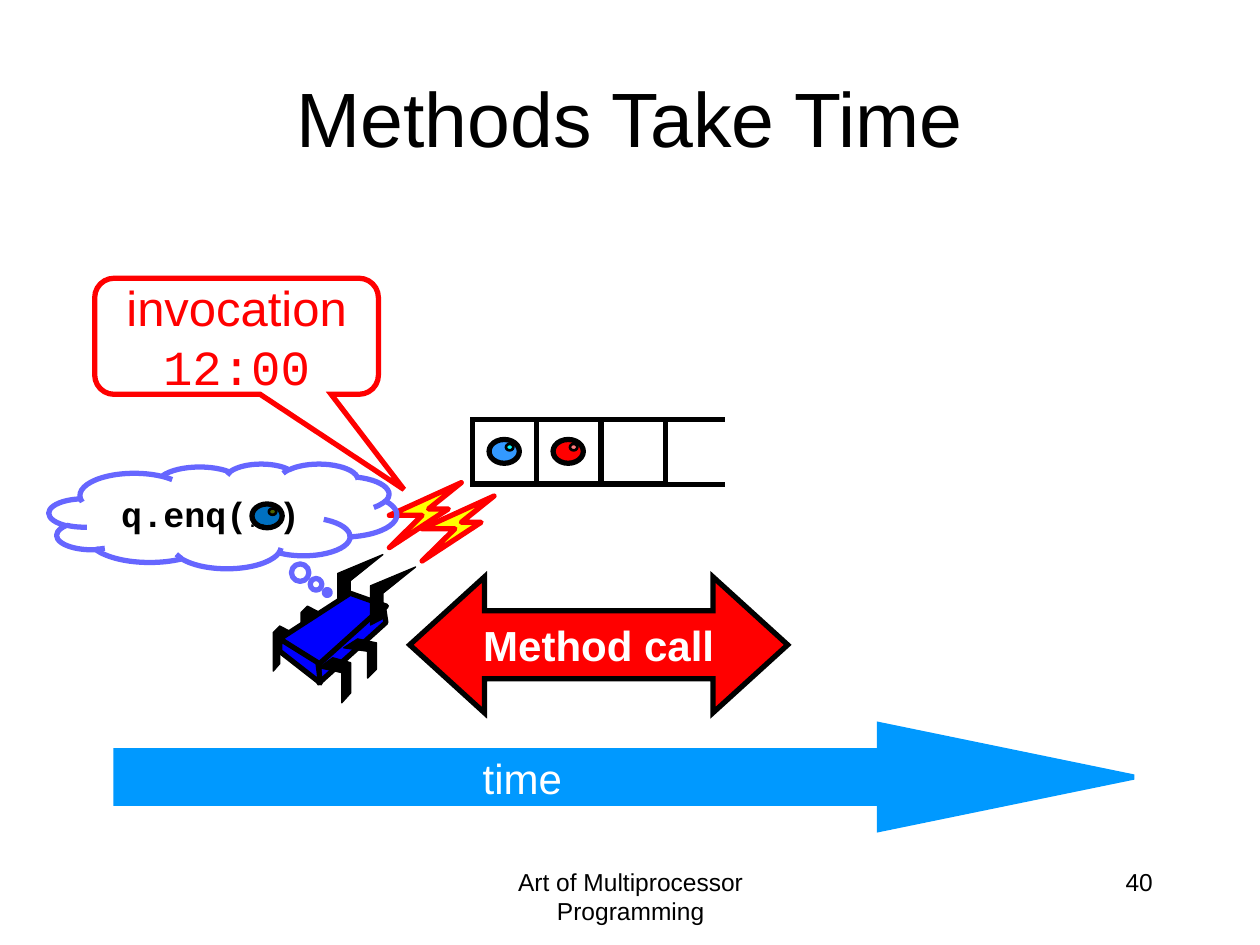
from lxml.etree import SubElement
from pptx import Presentation
from pptx.dml.color import RGBColor
from pptx.enum.shapes import MSO_CONNECTOR, MSO_SHAPE
from pptx.enum.text import MSO_ANCHOR, PP_ALIGN
from pptx.oxml.ns import qn
from pptx.util import Cm, Pt

BLACK = RGBColor(0x00, 0x00, 0x00)
WHITE = RGBColor(0xFF, 0xFF, 0xFF)
RED = RGBColor(0xFF, 0x00, 0x00)
YELLOW = RGBColor(0xFF, 0xFF, 0x00)
BLUE = RGBColor(0x00, 0x00, 0xFF)
TIME_BLUE = RGBColor(0x00, 0x99, 0xFF)
THOUGHT_BLUE = RGBColor(0x66, 0x66, 0xFF)
ITEM_BLUE = RGBColor(0x33, 0x99, 0xFF)
NEW_ITEM_BLUE = RGBColor(0x00, 0x70, 0xC0)
CYAN = RGBColor(0x00, 0xFF, 0xFF)
PINK = RGBColor(0xFF, 0x7C, 0x80)
OLIVE = RGBColor(0x4C, 0x66, 0x00)


def paint(shape, fill, line, width=3, sharp=False):
    """Set fill (None for hollow) and outline, without shadow; sharp gives mitred corners."""
    shape.shadow.inherit = False
    if fill is None:
        shape.fill.background()
    else:
        shape.fill.solid()
        shape.fill.fore_color.rgb = fill
    shape.line.color.rgb = line
    shape.line.width = Pt(width)
    if sharp:
        SubElement(shape._element.spPr.find(qn("a:ln")), qn("a:miter"), lim="800000")


def write(shape, spans, color, align=PP_ALIGN.CENTER, anchor=MSO_ANCHOR.MIDDLE, wrap=True):
    """Fill the shape with one paragraph of (text, font name, size, bold) spans."""
    frame = shape.text_frame
    for name, value in {"word_wrap": wrap, "vertical_anchor": anchor}.items():
        setattr(frame, name, value)
    para = frame.paragraphs[0]
    para.alignment = align
    for text, face, size, bold in spans:
        span = para.add_run()
        span.text = text
        for name, value in {"name": face, "size": Pt(size), "bold": bold}.items():
            setattr(span.font, name, value)
        span.font.color.rgb = color


deck = Presentation()
deck.slide_width, deck.slide_height = Cm(25.4), Cm(19.05)
page = deck.slides.add_slide(deck.slide_layouts[5])
shapes = page.shapes

# Title and footer
title = shapes.title
place = {"left": Cm(1.27), "top": Cm(0.76), "width": Cm(22.86), "height": Cm(3.18)}
for name, value in place.items():
    setattr(title, name, value)
write(title, [("Methods Take Time", "Arial", 44, False)], BLACK)

for text, left, width, align in [
    ("Art of Multiprocessor Programming", 8.69, 8.05, PP_ALIGN.CENTER),
    ("40", 18.21, 5.28, PP_ALIGN.RIGHT),
]:
    box = shapes.add_textbox(Cm(left), Cm(17.35), Cm(width), Cm(1.27))
    write(box, [(text, "Arial", 14, False)], BLACK, align, MSO_ANCHOR.TOP)

# Queue: three cells and an open end
CELL, QUEUE_LEFT, QUEUE_TOP = 1.3, 9.52, 8.46
for index in range(3):
    cell = shapes.add_shape(MSO_SHAPE.RECTANGLE, Cm(QUEUE_LEFT + index * CELL),
                            Cm(QUEUE_TOP), Cm(CELL), Cm(CELL))
    paint(cell, None, BLACK, sharp=True)
for y in (QUEUE_TOP, QUEUE_TOP + CELL):
    edge = shapes.add_connector(MSO_CONNECTOR.STRAIGHT, Cm(13.31), Cm(y), Cm(14.61), Cm(y))
    edge.line.color.rgb = BLACK
    edge.line.width = Pt(3)
    SubElement(edge._element.spPr, qn("a:effectLst"))

# Method call and invocation callout
call = shapes.add_shape(MSO_SHAPE.LEFT_RIGHT_ARROW, Cm(8.26), Cm(11.63), Cm(7.62), Cm(2.74))
call.adjustments[1] = 0.55
paint(call, RED, BLACK, sharp=True)
write(call, [("Method call", "Arial", 24, True)], WHITE, wrap=False)

invocation = shapes.add_shape(MSO_SHAPE.ROUNDED_RECTANGULAR_CALLOUT,
                              Cm(1.91), Cm(5.61), Cm(5.72), Cm(2.34))
invocation.adjustments[0], invocation.adjustments[1] = 0.59, 1.32
paint(invocation, None, RED, sharp=True)
write(invocation, [("invocation ", "Arial", 28, False), ("12:00", "Courier New", 28, False)], RED)

# Thread (a bug) with two lightning bolts; outlines in cm from each part's corner
BOLT = [(0, 1.31), (0.66, 0.66), (0, 0.66), (1.45, 0), (0.79, 0.53), (1.19, 0.53)]
FEELER = [(0, 1.17), (0.25, 1.04), (0.25, 0.53), (0.91, 0), (0, 0.38)]
FAR_LEG = [(0.38, 0.13), (0.13, 0), (0, 0.13), (0, 0.91), (0.13, 0.76), (0.13, 0.25), (0.38, 0.38)]
NEAR_LEG = [(0.28, 0), (0, 0.2), (0.46, 0.3), (0.46, 0.91), (0.64, 0.71), (0.64, 0.1)]
SHORT_LEG = [(0.28, 0), (0, 0.18), (0.48, 0.25), (0.48, 0.79), (0.66, 0.61), (0.66, 0.08)]
BACK = [(1.42, 0), (0, 0.92), (0.79, 1.45), (2.15, 0.26)]
SIDE = [(1.3, 0), (0, 1.17), (0, 1.55), (1.35, 0.33)]
FRONT = [(0, 0), (0, 0.25), (0.82, 0.89), (0.77, 0.48)]
BOLT_STYLE, LIMB_STYLE, BODY_STYLE = (YELLOW, RED, 3), (BLACK, BLACK, 0.75), (BLUE, BLACK, 3)

for outline, left, top, style in [
    (BOLT, 7.85, 9.73, BOLT_STYLE),
    (FEELER, 6.81, 11.18, LIMB_STYLE),
    (FAR_LEG, 5.51, 12.62, LIMB_STYLE),
    (FAR_LEG, 6.07, 12.22, LIMB_STYLE),
    (BACK, 5.64, 11.96, BODY_STYLE),
    (SIDE, 6.43, 12.22, BODY_STYLE),
    (FRONT, 5.64, 12.88, BODY_STYLE),
    (NEAR_LEG, 6.43, 13.26, LIMB_STYLE),
    (SHORT_LEG, 6.93, 12.88, LIMB_STYLE),
    (FEELER, 7.47, 11.43, LIMB_STYLE),
    (BOLT, 8.51, 10, BOLT_STYLE),
]:
    points = [(Cm(left + x), Cm(top + y)) for x, y in outline]
    builder = shapes.build_freeform(*points[0])
    builder.add_line_segments(points[1:], close=True)
    paint(builder.convert_to_shape(), *style)

# Items: two in the queue, one in the thought
for left, top, color, glint_color in [
    (9.86, 8.86, ITEM_BLUE, CYAN),
    (11.15, 8.86, RED, PINK),
    (5.08, 10.16, NEW_ITEM_BLUE, OLIVE),
]:
    item = shapes.add_shape(MSO_SHAPE.OVAL, Cm(left), Cm(top), Cm(0.61), Cm(0.48))
    paint(item, color, BLACK)
    glint = shapes.add_shape(MSO_SHAPE.OVAL, Cm(left + 0.34), Cm(top + 0.09), Cm(0.15), Cm(0.13))
    paint(glint, glint_color, BLACK, 1.5)

# Time arrow
arrow = shapes.add_shape(MSO_SHAPE.RIGHT_ARROW, Cm(2.34), Cm(14.61), Cm(20.52), Cm(2.11))
arrow.adjustments[1] = 2.43
paint(arrow, TIME_BLUE, TIME_BLUE, sharp=True)
label = shapes.add_textbox(Cm(9.47), Cm(15.04), Cm(2.11), Cm(1.27))
write(label, [("time", "Arial", 24, False)], WHITE, PP_ALIGN.RIGHT, MSO_ANCHOR.TOP, False)

# Thought
thought = shapes.add_shape(MSO_SHAPE.CLOUD_CALLOUT, Cm(0.99), Cm(9.35), Cm(7.01), Cm(2.11))
thought.adjustments[0], thought.adjustments[1] = 0.3, 0.73
paint(thought, None, THOUGHT_BLUE)
write(thought, [(text, "Courier New", size, True)
                for text, size in [("q.enq(", 20), ("...", 10), (")", 20)]], BLACK)

deck.save("out.pptx")
